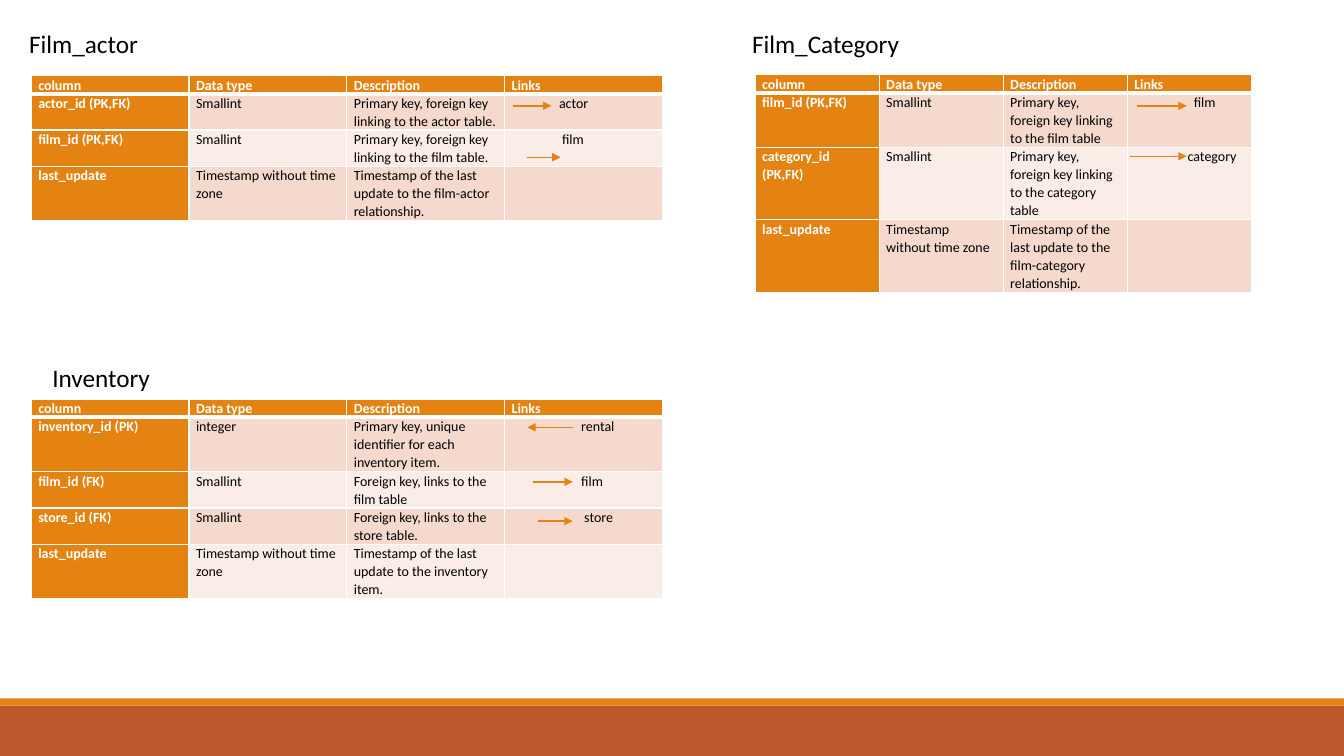
"""Builds a slide of three database table descriptions with their links."""
from lxml import etree
from pptx import Presentation
from pptx.dml.color import RGBColor
from pptx.enum.shapes import MSO_CONNECTOR, MSO_SHAPE
from pptx.oxml.ns import qn
from pptx.util import Inches, Pt

STRAIGHT = MSO_CONNECTOR.STRAIGHT
RECTANGLE = MSO_SHAPE.RECTANGLE

THEME = {
    "font": "Calibri", "title": 18, "cell": 10, "line": 1, "header_line": 3,
    "orange": "E48312", "rust": "BD582C", "bands": ("F5D9CC", "FAEDE7"),
    "white": "FFFFFF", "black": "000000",
}
HEADER = ("column", "Data type", "Description", "Links")
TIMESTAMP = "Timestamp without time zone"

TITLES = [
    ("Film_actor\tFilm_Category", (0.19, 0.23, 12.82, 1.01)),
    ("Inventory", (0.42, 3.55, 2.25, 0.4)),
]
TITLE_TAB = 7.17
BARS = [("rust", 7, 0.5), ("orange", 6.93, 0.07)]
LINE_HEIGHT = 0.18

TABLES = [
    {"at": (0.31, 0.75), "width": 6.26, "lines": (1, 2, 2, 3), "indents": (0.47, 0.5, 0), "rows": [
        ("actor_id (PK,FK)", "Smallint", "Primary key, foreign key linking to the actor table.", "actor"),
        ("film_id (PK,FK)", "Smallint", "Primary key, foreign key linking to the film table.", "film"),
        ("last_update", TIMESTAMP, "Timestamp of the last update to the film-actor relationship.", ""),
    ]},
    {"at": (7.49, 0.74), "width": 4.92, "lines": (1, 3, 4, 4), "indents": (0.59, 0.53, 0), "rows": [
        ("film_id (PK,FK)", "Smallint", "Primary key, foreign key linking to the film table", "film"),
        ("category_id (PK,FK)", "Smallint", "Primary key, foreign key linking to the category table", "category"),
        ("last_update", TIMESTAMP, "Timestamp of the last update to the film-category relationship.", ""),
    ]},
    {"at": (0.31, 3.96), "width": 6.26, "lines": (1, 3, 2, 2, 3), "indents": (0.69, 0.69, 0.72, 0), "rows": [
        ("inventory_id (PK)", "integer", "Primary key, unique identifier for each inventory item.", "rental"),
        ("film_id (FK)", "Smallint", "Foreign key, links to the film table", "film"),
        ("store_id (FK)", "Smallint", "Foreign key, links to the store table.", "store"),
        ("last_update", TIMESTAMP, "Timestamp of the last update to the inventory item.", ""),
    ]},
]
ARROWS = [
    (5.09, 5.47, 1.05), (5.23, 5.56, 1.56),
    (11.28, 11.77, 1.05), (11.21, 11.77, 1.55),
    (5.68, 5.23, 4.24), (5.29, 5.68, 4.78), (5.34, 5.68, 5.17),
]


def color(name):
    return RGBColor.from_string(THEME.get(name, name))


def style_font(para, size, ink, bold=False):
    para.font.name = THEME["font"]
    para.font.size = Pt(THEME[size])
    para.font.bold = bold
    para.font.color.rgb = color(ink)


def add_bar(page, width, fill, top, height):
    bar = page.shapes.add_shape(RECTANGLE, 0, Inches(top), width, Inches(height))
    bar.shadow.inherit = False
    bar.fill.solid()
    bar.fill.fore_color.rgb = color(fill)
    bar.line.fill.background()


def add_title(page, text, place):
    box = page.shapes.add_textbox(*map(Inches, place))
    box.text_frame.word_wrap = True
    para = box.text_frame.paragraphs[0]
    para.text = text
    if "\t" in text:
        tabs = etree.SubElement(para._p.get_or_add_pPr(), qn("a:tabLst"))
        etree.SubElement(tabs, qn("a:tab"), pos=str(Inches(TITLE_TAB)), algn="l")
    style_font(para, "title", "black")


def add_borders(cell, row):
    properties = cell._tc.get_or_add_tcPr()
    heavy_side = {0: "lnB", 1: "lnT"}.get(row)
    for side in ("lnL", "lnR", "lnT", "lnB"):
        weight = THEME["header_line" if side == heavy_side else "line"]
        border = etree.SubElement(properties, qn(f"a:{side}"), w=str(Pt(weight)))
        fill = etree.SubElement(border, qn("a:solidFill"))
        etree.SubElement(fill, qn("a:srgbClr"), val=THEME["white"])


def fill_cell(cell, text, row, column, indent):
    accent = row == 0 or column == 0
    cell.margin_left = cell.margin_right = Inches(0.07)
    cell.margin_top = cell.margin_bottom = 0
    add_borders(cell, row)
    cell.fill.solid()
    cell.fill.fore_color.rgb = color("orange" if accent else THEME["bands"][(row - 1) % 2])
    para = cell.text_frame.paragraphs[0]
    para.text = text
    para.line_spacing = 1.07
    para.space_after = Pt(8)
    if indent:
        para._p.get_or_add_pPr().set("marL", str(Inches(indent)))
    style_font(para, "cell", "white" if accent else "black", accent)


def add_description(page, spec_table):
    rows = [HEADER, *spec_table["rows"]]
    indents = (0, *spec_table["indents"])
    left, top = spec_table["at"]
    heights = [count * LINE_HEIGHT for count in spec_table["lines"]]
    table = page.shapes.add_table(
        len(rows), len(HEADER), Inches(left), Inches(top),
        Inches(spec_table["width"]), Inches(sum(heights))).table
    table.horz_banding = False
    for row, (texts, height) in enumerate(zip(rows, heights)):
        table.rows[row].height = Inches(height)
        for column, text in enumerate(texts):
            indent = indents[row] if column == len(HEADER) - 1 else 0
            fill_cell(table.cell(row, column), text, row, column, indent)


def add_arrow(page, start, end, height):
    arrow = page.shapes.add_connector(
        STRAIGHT, Inches(start), Inches(height), Inches(end), Inches(height))
    arrow.line.width = Pt(THEME["line"])
    arrow.line.color.rgb = color("orange")
    etree.SubElement(arrow.line._get_or_add_ln(), qn("a:tailEnd"), type="triangle")
    etree.SubElement(arrow._element.spPr, qn("a:effectLst"))


def main():
    deck = Presentation()
    deck.slide_width, deck.slide_height = Inches(13.33), Inches(7.5)
    page = deck.slides.add_slide(deck.slide_layouts[6])
    for bar in BARS:
        add_bar(page, deck.slide_width, *bar)
    for title in TITLES:
        add_title(page, *title)
    for description in TABLES:
        add_description(page, description)
    for arrow in ARROWS:
        add_arrow(page, *arrow)
    deck.save("out.pptx")


if __name__ == "__main__":
    main()
